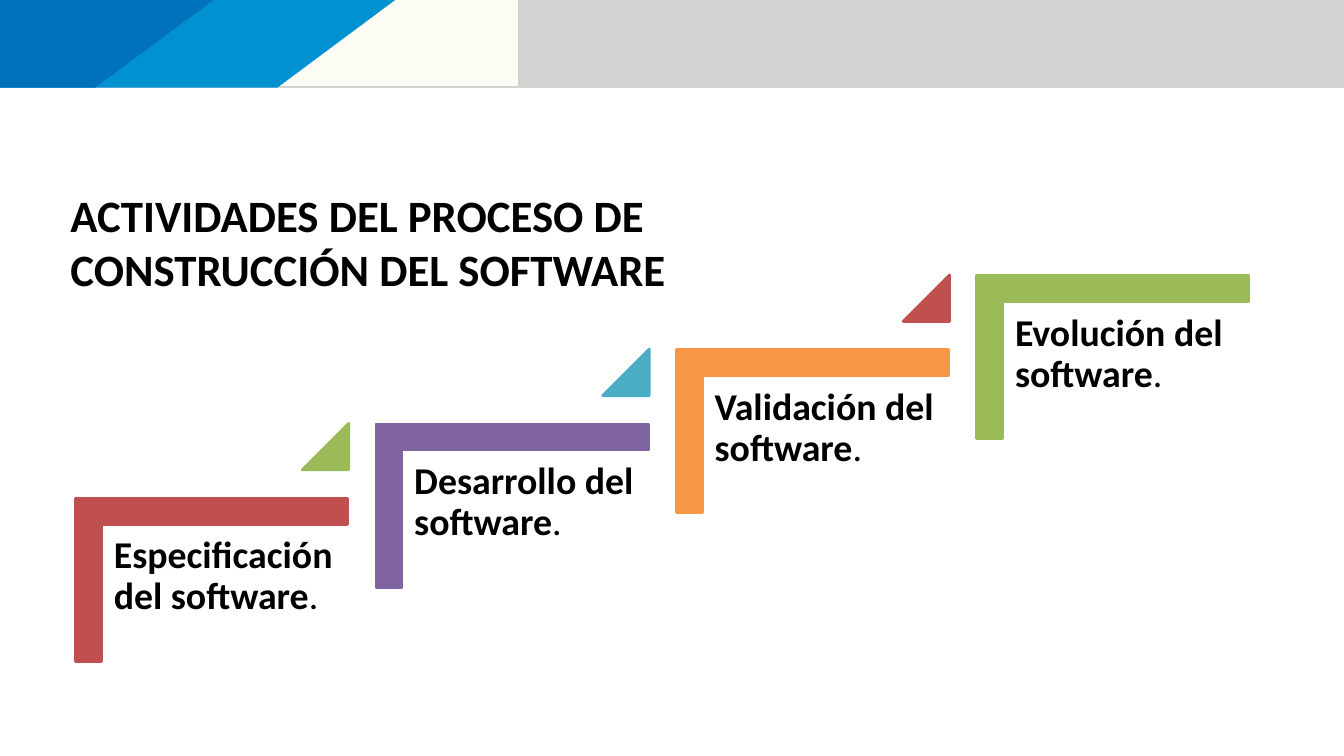
from dataclasses import dataclass

from pptx import Presentation
from pptx.dml.color import RGBColor
from pptx.enum.shapes import MSO_SHAPE
from pptx.enum.text import MSO_ANCHOR, MSO_AUTO_SIZE, PP_ALIGN
from pptx.shapes.autoshape import Shape
from pptx.slide import Slide
from pptx.text.text import TextFrame
from pptx.util import Cm, Pt

COLORS = {
    "gray": "D2D2D3", "cream": "FCFBF4", "sky": "0091D1", "blue": "0071BB",
    "red": "C0504D", "green": "9BBB59", "purple": "8064A2",
    "teal": "4BACC6", "orange": "F79646", "black": "000000",
}
FONT = "Calibri"
SLIDE_WIDTH, SLIDE_HEIGHT = 33.87, 19.05
BAND_HEIGHT = 2.21

# Each step moves right and up by the same amount
STEP_RIGHT, STEP_UP = 7.57, 1.87
CORNER_LEFT, CORNER_TOP, CORNER_WIDTH, CORNER_HEIGHT = 3.28, 11.18, 4.11, 6.86
CORNER_THICKNESS = 0.16
LABEL_LEFT, LABEL_TOP, LABEL_WIDTH, LABEL_HEIGHT = 2.59, 13.23, 6.17, 5.41
TRIANGLE_LEFT, TRIANGLE_TOP, TRIANGLE_SIZE = 7.62, 10.67, 1.17


@dataclass
class Band:
    color: str
    top_right: float
    bottom_right: float
    height: float = BAND_HEIGHT


@dataclass
class Step:
    label: str
    color: str
    triangle_color: str | None = None


BANDS = [
    Band("gray", SLIDE_WIDTH, SLIDE_WIDTH),
    Band("cream", 13.06, 13.06, 2.18),
    Band("sky", 9.96, 6.99),
    Band("blue", 5.38, 2.4),
]
STEPS = [
    Step("Especificación del software", "red", "green"),
    Step("Desarrollo del software", "purple", "teal"),
    Step("Validación del software", "orange", "red"),
    Step("Evolución del software", "green"),
]


def paint(shape: Shape, color: str, outline: float = 0) -> None:
    rgb = RGBColor.from_string(COLORS[color])
    shape.shadow.inherit = False
    shape.fill.solid()
    shape.fill.fore_color.rgb = rgb
    if outline:
        shape.line.color.rgb = rgb
        shape.line.width = Pt(outline)
    else:
        shape.line.fill.background()


def add_text(frame: TextFrame, text: str, *, size: float, bold: bool = True,
             spacing: float = 1.0) -> None:
    """Append a run to the first paragraph of a left-aligned frame."""
    frame.word_wrap = True
    frame.vertical_anchor = MSO_ANCHOR.TOP
    paragraph = frame.paragraphs[0]
    paragraph.alignment = PP_ALIGN.LEFT
    paragraph.line_spacing = spacing
    run = paragraph.add_run()
    run.text = text
    run.font.name = FONT
    run.font.size = Pt(size)
    run.font.bold = bold
    run.font.color.rgb = RGBColor.from_string(COLORS["black"])


def add_band(slide: Slide, band: Band) -> None:
    builder = slide.shapes.build_freeform(0, 0, scale=1.0)
    builder.add_line_segments([
        (Cm(band.top_right), 0),
        (Cm(band.bottom_right), Cm(band.height)),
        (0, Cm(band.height)),
    ], close=True)
    paint(builder.convert_to_shape(), band.color)


def add_step(slide: Slide, step: Step, index: int) -> None:
    right, up = index * STEP_RIGHT, index * STEP_UP

    # Angled bracket
    corner = slide.shapes.add_shape(
        MSO_SHAPE.CORNER, Cm(CORNER_LEFT + right), Cm(CORNER_TOP - up),
        Cm(CORNER_WIDTH), Cm(CORNER_HEIGHT))
    corner.rotation = 90
    corner.adjustments[0] = CORNER_THICKNESS
    corner.adjustments[1] = CORNER_THICKNESS
    paint(corner, step.color, outline=2)

    # Label with a regular-weight full stop
    label = slide.shapes.add_textbox(
        Cm(LABEL_LEFT + right), Cm(LABEL_TOP - up), Cm(LABEL_WIDTH), Cm(LABEL_HEIGHT))
    frame = label.text_frame
    frame.margin_left = frame.margin_right = Cm(0.28)
    frame.margin_top = frame.margin_bottom = Cm(0.28)
    add_text(frame, step.label, size=27, spacing=0.9)
    add_text(frame, ".", size=27, bold=False, spacing=0.9)

    # Triangle leading to the next step
    if step.triangle_color:
        triangle = slide.shapes.add_shape(
            MSO_SHAPE.ISOSCELES_TRIANGLE, Cm(TRIANGLE_LEFT + right),
            Cm(TRIANGLE_TOP - up), Cm(TRIANGLE_SIZE), Cm(TRIANGLE_SIZE))
        triangle.adjustments[0] = 1.0
        paint(triangle, step.triangle_color, outline=2)


def main() -> None:
    presentation = Presentation()
    presentation.slide_width = Cm(SLIDE_WIDTH)
    presentation.slide_height = Cm(SLIDE_HEIGHT)
    slide = presentation.slides.add_slide(presentation.slide_layouts[5])

    # Header bands
    for band in BANDS:
        add_band(slide, band)

    # Title
    title = slide.shapes.title
    title.left, title.top = Cm(1.52), Cm(4.6)
    title.width, title.height = Cm(18.21), Cm(3)
    add_text(title.text_frame, "ACTIVIDADES DEL PROCESO DE CONSTRUCCIÓN DEL SOFTWARE",
             size=32)
    title.text_frame.auto_size = MSO_AUTO_SIZE.SHAPE_TO_FIT_TEXT

    # Staircase
    for index, step in enumerate(STEPS):
        add_step(slide, step, index)

    presentation.save("out.pptx")


if __name__ == "__main__":
    main()
